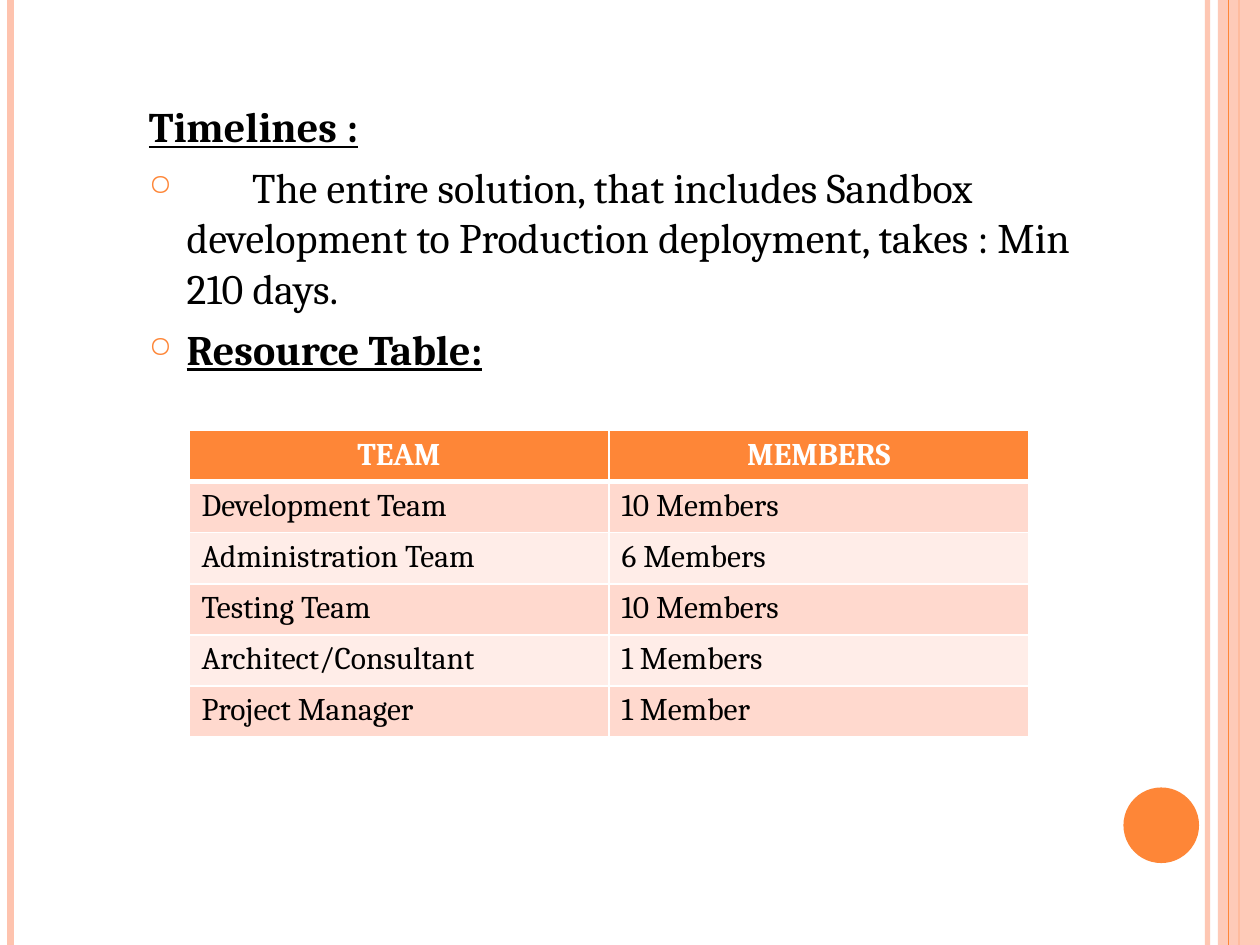
import lxml.etree
import pptx
import pptx.dml.color
import pptx.enum.shapes
import pptx.enum.text
import pptx.oxml
import pptx.oxml.ns
import pptx.util

UNIT = pptx.util.Inches(1) // 12
COLUMNS, ROWS = 120, 90
FONT = "Cambria"
ORANGE, PEACH, BLACK, WHITE = "FE8637", "FEC3AE", "000000", "FFFFFF"
BANDS = ("FFD9CE", "FFEDE8")
TEAMS = [
    ("TEAM", "MEMBERS"),
    ("Development Team", "10 Members"),
    ("Administration Team", "6 Members"),
    ("Testing Team", "10 Members"),
    ("Architect/Consultant", "1 Members"),
    ("Project Manager", "1 Member"),
]


def grid(*cells):
    """Turn grid counts into lengths."""
    return [int(cell * UNIT) for cell in cells]


def rgb(code):
    """Return the colour for a hex string."""
    return pptx.dml.color.RGBColor.from_string(code)


def add_child(parent, tag, **attributes):
    """Append a DrawingML element with the given attributes."""
    return lxml.etree.SubElement(parent, pptx.oxml.ns.qn(tag), attributes)


def set_alpha(fill, percent):
    """Set the opacity of a solid fill element."""
    add_child(fill.find(pptx.oxml.ns.qn("a:srgbClr")), "a:alpha", val=str(percent * 1000))


def add_span(para, text, size, color, bold=False, underline=False):
    """Add one styled run to a paragraph."""
    span = para.add_run()
    span.text = text
    span.font.name = FONT
    span.font.size = pptx.util.Pt(size)
    span.font.bold = bold
    span.font.underline = underline
    span.font.color.rgb = rgb(color)


def add_rule(page, column, top, height, color, width, opacity=100):
    """Draw a vertical rule at a grid column."""
    x, start, end = grid(column, top, top + height)
    rule = page.shapes.add_connector(pptx.enum.shapes.MSO_CONNECTOR.STRAIGHT, x, start, x, end)
    rule.line.color.rgb = rgb(color)
    rule.line.width = pptx.util.Pt(width)
    properties = rule._element.spPr
    if opacity < 100:
        set_alpha(properties.find(".//" + pptx.oxml.ns.qn("a:solidFill")), opacity)
    add_child(properties, "a:effectLst")


def add_plain_shape(page, kind, box, color, opacity=100):
    """Add a filled preset shape without outline or shadow."""
    shape = page.shapes.add_shape(kind, *grid(*box))
    shape.shadow.inherit = False
    shape.fill.solid()
    shape.fill.fore_color.rgb = rgb(color)
    shape.line.fill.background()
    if opacity < 100:
        set_alpha(shape._element.spPr.find(pptx.oxml.ns.qn("a:solidFill")), opacity)


def add_frame(page, box):
    """Draw the side rules, the right band and the disc."""
    left, top, width, height = box
    right = left + width
    kinds = pptx.enum.shapes.MSO_SHAPE
    add_rule(page, right - 5, top, height, PEACH, 3, 93)
    add_rule(page, left + 1, top, height, PEACH, 4.5)
    add_rule(page, right - 2, top, height, ORANGE, 1.5)
    add_plain_shape(page, kinds.RECTANGLE, (right - 4, top, 4, height), PEACH, 87)
    add_rule(page, right - 3, top, height, ORANGE, 0.75)
    add_plain_shape(page, kinds.OVAL, (right - 13, top + height - 15, 7.2, 7.2), ORANGE)


def add_bullet(para, tab=None):
    """Give a paragraph a hanging ring bullet and an optional tab stop."""
    para.space_before = pptx.util.Pt(6)
    properties = para._p.get_or_add_pPr()
    indent = pptx.util.Inches(0.3)
    properties.set("marL", str(indent))
    properties.set("indent", str(-indent))
    add_child(add_child(properties, "a:buClr"), "a:srgbClr", val=ORANGE)
    add_child(properties, "a:buSzPct", val="70000")
    add_child(properties, "a:buChar", char="○")
    if tab:
        stops = add_child(properties, "a:tabLst")
        add_child(stops, "a:tab", pos=str(pptx.util.Inches(tab)), algn="l")


def add_timelines(page, box):
    """Write the heading and the two bulleted paragraphs."""
    frame = page.shapes.add_textbox(*grid(*box)).text_frame
    frame.word_wrap = True
    add_span(frame.paragraphs[0], "Timelines :", 24, BLACK, True, True)
    para = frame.add_paragraph()
    add_bullet(para, 0.82)
    add_span(
        para,
        "\tThe entire solution, that includes Sandbox development to "
        "Production deployment, takes : Min 210 days.",
        24,
        BLACK,
    )
    para = frame.add_paragraph()
    add_bullet(para)
    add_span(para, "Resource Table:", 24, BLACK, True, True)


def set_borders(cell, bottom, top):
    """Outline a table cell in white."""
    properties = cell._tc.get_or_add_tcPr()
    for tag, width in (("a:lnL", 1), ("a:lnR", 1), ("a:lnT", top), ("a:lnB", bottom)):
        line = add_child(properties, tag, w=str(pptx.util.Pt(width)))
        add_child(add_child(line, "a:solidFill"), "a:srgbClr", val=WHITE)


def add_resources(page, box):
    """Build the table of teams and member counts."""
    left, top, width, height = grid(*box)
    table = page.shapes.add_table(len(TEAMS), 2, left, top, width, height).table
    for row, texts in enumerate(TEAMS):
        header = row == 0
        for column, text in enumerate(texts):
            cell = table.cell(row, column)
            set_borders(cell, 3 if header else 1, 3 if row == 1 else 1)
            cell.fill.solid()
            cell.fill.fore_color.rgb = rgb(ORANGE if header else BANDS[(row - 1) % 2])
            para = cell.text_frame.paragraphs[0]
            if header:
                para.alignment = pptx.enum.text.PP_ALIGN.CENTER
            add_span(para, text, 18, WHITE if header else BLACK, header)


def main():
    """Build and save the deck."""
    deck = pptx.Presentation()
    deck.slide_width, deck.slide_height = grid(COLUMNS, ROWS)
    page = deck.slides.add_slide(deck.slide_layouts[6])
    add_frame(page, (0, 0, COLUMNS, ROWS))
    add_timelines(page, (13, 9, 94, 37))
    add_resources(page, (18, 41, 80, 29.2))
    deck.save("out.pptx")


if __name__ == "__main__":
    main()
